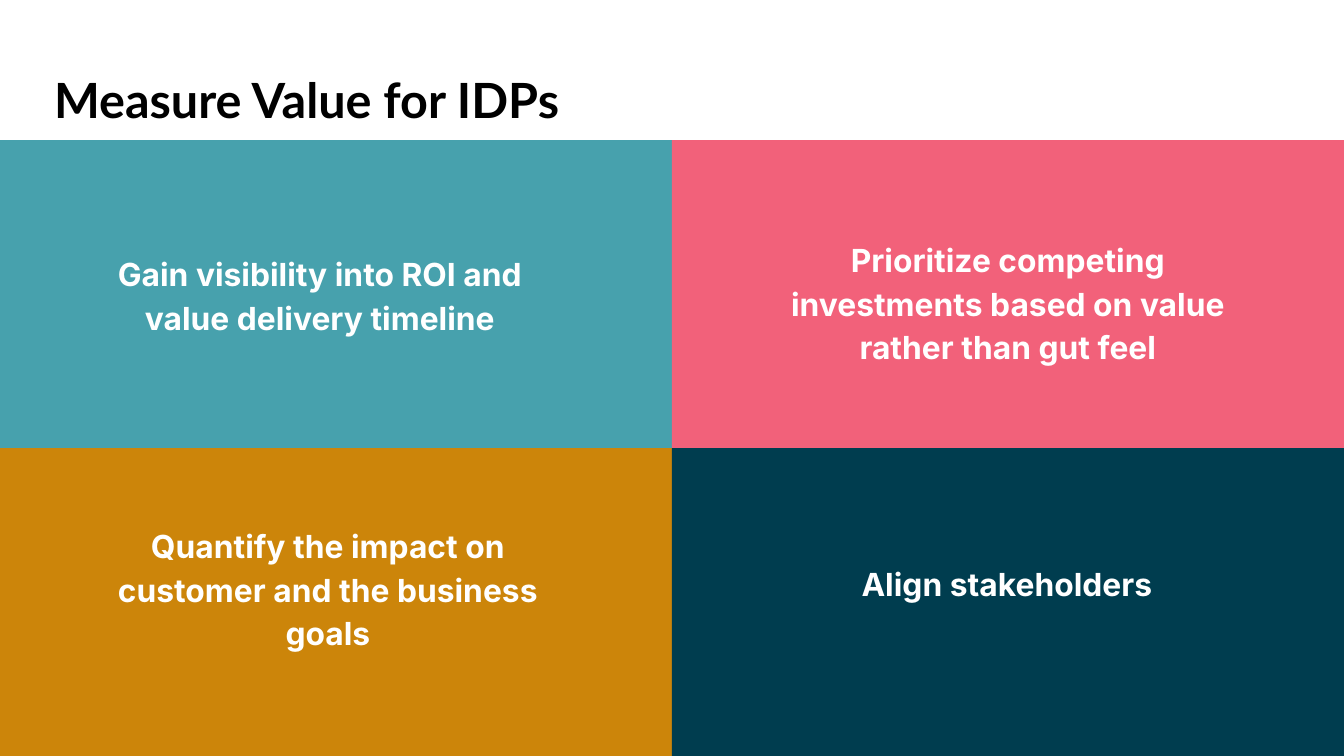
from pptx import Presentation
from pptx.dml.color import RGBColor
from pptx.enum.shapes import MSO_SHAPE
from pptx.enum.text import MSO_ANCHOR, PP_ALIGN
from pptx.util import Pt

SLIDE_WIDTH, SLIDE_HEIGHT = 1344, 756
EMU_PER_PX = 9144000 / SLIDE_WIDTH
HEADER_HEIGHT = 140
LABEL_WIDTH = 492
COLORS = {
    "black": "000000",
    "white": "FFFFFF",
    "teal": "47A1AD",
    "pink": "F2617A",
    "ochre": "CC850A",
    "navy": "003D4F",
}
TILES = [
    ("teal", "Gain visibility into ROI and value delivery timeline", (74, 109, 103)),
    ("pink", "Prioritize competing investments based on value rather than gut feel", (90, 95, 118)),
    ("ochre", "Quantify the impact on customer and the business goals", (82, 73, 161)),
    ("navy", "Align stakeholders", (89, 111, 134)),
]


def px(*lengths):
    """Turn pixel lengths into EMU."""
    return [round(length * EMU_PER_PX) for length in lengths]


def add_text(page, box, text, *, font, size, color, align=PP_ALIGN.LEFT, spacing=1.0, after=0):
    """Add a wrapped bold text box without insets."""
    frame = page.shapes.add_textbox(*px(*box)).text_frame
    frame.word_wrap = True
    frame.vertical_anchor = MSO_ANCHOR.TOP
    frame.margin_left = frame.margin_right = frame.margin_top = frame.margin_bottom = 0
    para = frame.paragraphs[0]
    para.alignment = align
    para.line_spacing = spacing
    para.space_after = Pt(after)
    span = para.add_run()
    span.text = text
    span.font.name = font
    span.font.size = Pt(size)
    span.font.bold = True
    span.font.color.rgb = RGBColor.from_string(COLORS[color])


def add_header(page, box):
    """Place the slide title in the header band."""
    left, top, _, _ = box
    add_text(page, (left + 54, top + 70, 740, 63), "Measure Value for IDPs",
             font="Lato", size=26, color="black")


def add_tile(page, box, color, text, label):
    """Draw one coloured tile with its centred statement."""
    left, top, _, _ = box
    inset_left, inset_top, label_height = label
    tile = page.shapes.add_shape(MSO_SHAPE.RECTANGLE, *px(*box))
    tile.shadow.inherit = False
    tile.fill.solid()
    tile.fill.fore_color.rgb = RGBColor.from_string(COLORS[color])
    tile.line.fill.background()
    add_text(page, (left + inset_left, top + inset_top, LABEL_WIDTH, label_height), text,
             font="Inter", size=17, color="white", align=PP_ALIGN.CENTER, spacing=1.15, after=12)


def add_tile_grid(page, box):
    """Fill the box with a two by two grid of tiles."""
    left, top, width, height = box
    tile_width, tile_height = width // 2, height // 2
    for index, (color, text, label) in enumerate(TILES):
        row, column = divmod(index, 2)
        tile_box = (left + column * tile_width, top + row * tile_height, tile_width, tile_height)
        add_tile(page, tile_box, color, text, label)


def main():
    """Build and save the deck."""
    deck = Presentation()
    deck.slide_width, deck.slide_height = px(SLIDE_WIDTH, SLIDE_HEIGHT)
    page = deck.slides.add_slide(deck.slide_layouts[6])
    add_header(page, (0, 0, SLIDE_WIDTH, HEADER_HEIGHT))
    add_tile_grid(page, (0, HEADER_HEIGHT, SLIDE_WIDTH, SLIDE_HEIGHT - HEADER_HEIGHT))
    deck.save("out.pptx")


if __name__ == "__main__":
    main()
